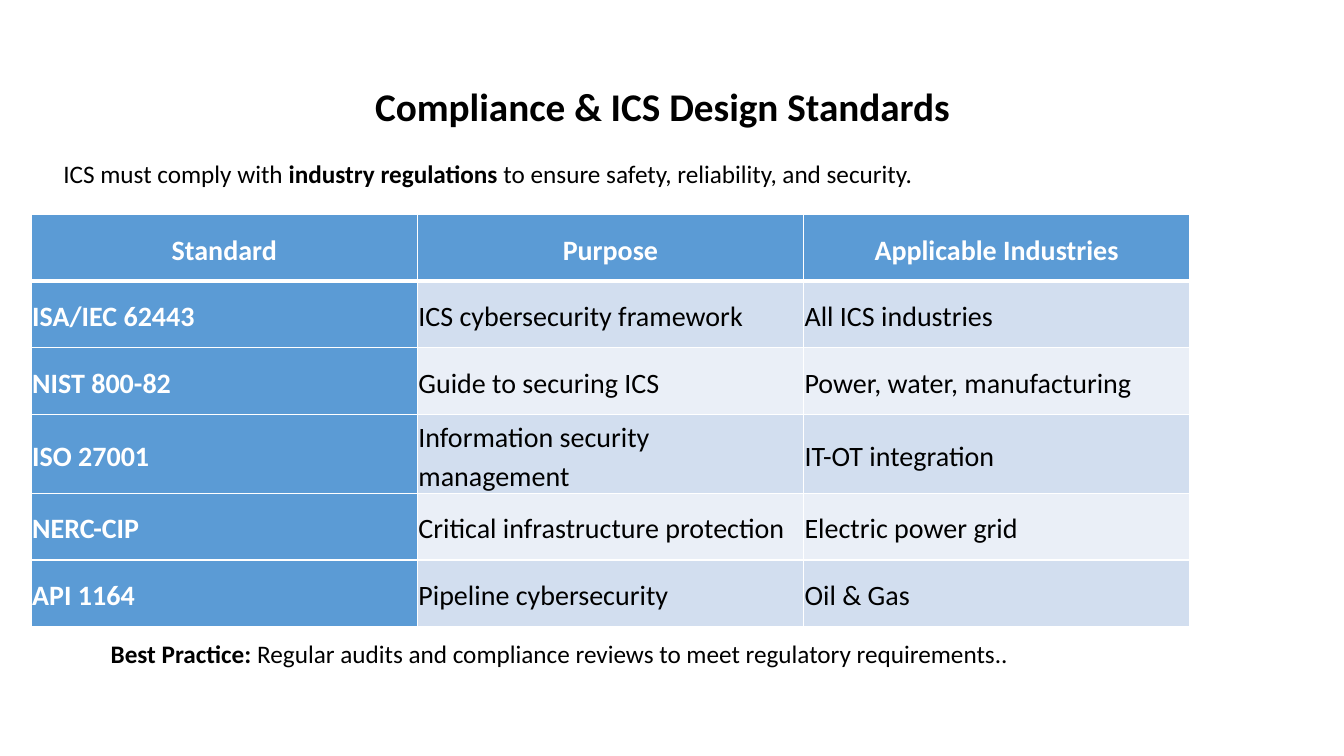
import pptx
import pptx.dml.color
import pptx.enum.text
import pptx.oxml.ns
import pptx.util
from lxml import etree

Inches = pptx.util.Inches
Pt = pptx.util.Pt
Align = pptx.enum.text.PP_ALIGN
Anchor = pptx.enum.text.MSO_ANCHOR

STANDARDS = [
    ("Standard", "Purpose", "Applicable Industries"),
    ("ISA/IEC 62443", "ICS cybersecurity framework", "All ICS industries"),
    ("NIST 800-82", "Guide to securing ICS", "Power, water, manufacturing"),
    ("ISO 27001", "Information security management", "IT-OT integration"),
    ("NERC-CIP", "Critical infrastructure protection", "Electric power grid"),
    ("API 1164", "Pipeline cybersecurity", "Oil & Gas"),
]


def color(hex_code):
    return pptx.dml.color.RGBColor.from_string(hex_code)


class StandardsSlide:
    font = "Calibri"
    black, white = "000000", "FFFFFF"
    accent, bands = "5B9BD5", ("EAEFF7", "D2DEEF")

    def __init__(self, deck):
        self.slide = deck.slides.add_slide(deck.slide_layouts[6])

    def style(self, run, size, hex_code, bold):
        run.font.name = self.font
        run.font.size = Pt(size)
        run.font.bold = bold
        run.font.color.rgb = color(hex_code)

    def text(self, left, top, width, height, parts, size=18, align=Align.LEFT,
             anchor=Anchor.TOP, spacing=1.0):
        """Add one paragraph made of (wording, bold) parts."""
        frame = self.slide.shapes.add_textbox(
            Inches(left), Inches(top), Inches(width), Inches(height)).text_frame
        frame.word_wrap = True
        frame.vertical_anchor = anchor
        paragraph = frame.paragraphs[0]
        paragraph.alignment = align
        paragraph.line_spacing = spacing
        for wording, bold in parts:
            run = paragraph.add_run()
            run.text = wording
            self.style(run, size, self.black, bold)

    def border(self, cell, side, width):
        properties = cell._tc.get_or_add_tcPr()
        line = etree.SubElement(properties, pptx.oxml.ns.qn(f"a:ln{side}"),
                                w=str(Pt(width)))
        fill = etree.SubElement(line, pptx.oxml.ns.qn("a:solidFill"))
        etree.SubElement(fill, pptx.oxml.ns.qn("a:srgbClr"), val=self.white)

    def cell(self, cell, wording, row, column):
        is_header = row == 0
        is_accent = is_header or column == 0
        # Thick rule between header and body
        widths = {"L": 1, "R": 1, "T": 3 if row == 1 else 1,
                  "B": 3 if is_header else 1}
        for side, width in widths.items():
            self.border(cell, side, width)
        cell.fill.solid()
        cell.fill.fore_color.rgb = color(
            self.accent if is_accent else self.bands[row % 2])
        cell.vertical_anchor = Anchor.MIDDLE
        cell.margin_left = cell.margin_right = Inches(0.01)
        cell.margin_top = cell.margin_bottom = Inches(0.01)
        cell.text_frame.text = wording
        paragraph = cell.text_frame.paragraphs[0]
        paragraph.alignment = Align.CENTER if is_header else Align.LEFT
        paragraph.line_spacing = 1.15
        paragraph.space_after = Pt(10)
        self.style(paragraph.runs[0], 20,
                   self.white if is_accent else self.black, is_accent)

    def table(self, left, top, column_width, row_height, rows):
        grid = self.slide.shapes.add_table(
            len(rows), len(rows[0]), Inches(left), Inches(top),
            Inches(column_width * len(rows[0])),
            Inches(row_height * len(rows))).table
        for column in grid.columns:
            column.width = Inches(column_width)
        for r, row in enumerate(rows):
            grid.rows[r].height = Inches(row_height)
            for c, wording in enumerate(row):
                self.cell(grid.cell(r, c), wording, r, c)


def main():
    deck = pptx.Presentation()
    deck.slide_width, deck.slide_height = Inches(13.33), Inches(7.5)
    page = StandardsSlide(deck)

    # Title and introduction
    page.text(1.57, 0.45, 10, 0.89, [("Compliance & ICS Design Standards", True)],
              size=28, align=Align.CENTER, anchor=Anchor.BOTTOM, spacing=0.9)
    page.text(0.53, 1.52, 11.52, 1.01, [
        ("ICS must comply with ", False), ("industry regulations", True),
        (" to ensure safety, reliability, and security.", False)])

    # Closing advice
    page.text(1, 6.28, 9.54, 0.4, [
        ("Best Practice:", True),
        (" Regular audits and compliance reviews to meet regulatory requirements..",
         False)])

    # Standards table
    page.table(0.31, 2.13, 3.83, 0.66, STANDARDS)

    deck.save("out.pptx")


if __name__ == "__main__":
    main()
